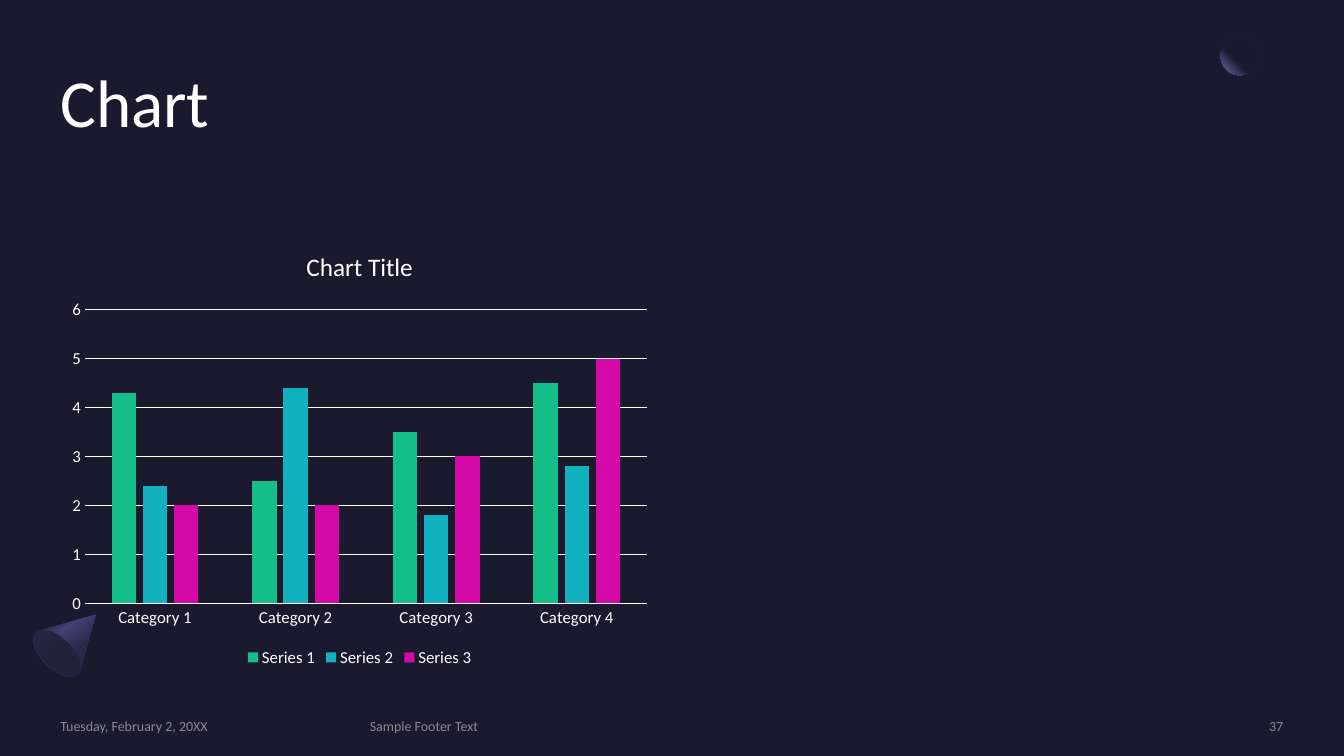
import math

import pptx
import pptx.chart.data
import pptx.dml.color
import pptx.enum.chart
import pptx.enum.shapes
import pptx.enum.text
import pptx.oxml
import pptx.oxml.ns
import pptx.util
from lxml import etree

Cm, Pt = pptx.util.Cm, pptx.util.Pt
RGBColor = pptx.dml.color.RGBColor
ALIGN = pptx.enum.text.PP_ALIGN
ANCHOR = pptx.enum.text.MSO_ANCHOR
SHAPE = pptx.enum.shapes.MSO_SHAPE
XL = pptx.enum.chart

FONT = "Calibri"
NIGHT = RGBColor(0x1B, 0x19, 0x2E)
WHITE = RGBColor(0xFF, 0xFF, 0xFF)
GREY = RGBColor(0xA6, 0xA6, 0xA6)
LILAC = RGBColor(0x77, 0x71, 0xB2)
VIOLET = RGBColor(0x45, 0x40, 0x75)
DUSK = RGBColor(0x2C, 0x28, 0x4A)
INK = RGBColor(0x23, 0x21, 0x3C)
GREEN = RGBColor(0x13, 0xBE, 0x89)
TEAL = RGBColor(0x12, 0xB1, 0xBF)
MAGENTA = RGBColor(0xD4, 0x0A, 0xA8)

TITLE = "Chart"
# text, left, width, alignment
FOOTER = [
    ("Tuesday, February 2, 20XX", 1.52, 7.32, ALIGN.LEFT),
    ("Sample Footer Text", 9.32, 17.73, ALIGN.LEFT),
    ("37", 27.64, 4.7, ALIGN.RIGHT),
]
CHART_TITLE = "Chart Title"
CATEGORIES = ["Category 1", "Category 2", "Category 3", "Category 4"]
SERIES = [
    ("Series 1", (4.3, 2.5, 3.5, 4.5), GREEN),
    ("Series 2", (2.4, 4.4, 1.8, 2.8), TEAL),
    ("Series 3", (2, 2, 3, 5), MAGENTA),
]

BALL_STOPS = [(60, NIGHT), (100, LILAC)]
CONE_STOPS = [(30, DUSK), (40, VIOLET), (60, DUSK), (100, NIGHT)]
BASE_STOPS = [(50, INK), (100, DUSK)]


def style_font(font, size, color=WHITE):
    font.name, font.size, font.bold = FONT, Pt(size), False
    font.color.rgb = color


def add_text(s, text, left, top, width, height, size=10, color=WHITE, alpha=None,
             align=ALIGN.LEFT, anchor=ANCHOR.TOP, after=0):
    tf = s.shapes.add_textbox(Cm(left), Cm(top), Cm(width), Cm(height)).text_frame
    tf.word_wrap = True
    tf.vertical_anchor = anchor
    tf.margin_left = tf.margin_top = tf.margin_right = tf.margin_bottom = 0
    p = tf.paragraphs[0]
    p.alignment, p.space_after = align, Pt(after)
    r = p.add_run()
    r.text = text
    style_font(r.font, size, color)
    if alpha:
        clr = r._r.find(".//" + pptx.oxml.ns.qn("a:srgbClr"))
        etree.SubElement(clr, pptx.oxml.ns.qn("a:alpha"), val=str(alpha * 1000))


def fill_gradient(sp, stops, angle=None):
    """Linear fill at an angle, or a circular one centred on the top right corner."""
    sp.shadow.inherit = False
    sp.line.fill.background()
    gs = "".join(f'<a:gs pos="{pos * 1000}"><a:srgbClr val="{color}"/></a:gs>'
                 for pos, color in stops)
    if angle is None:
        kind = '<a:path path="circle"><a:fillToRect l="100000" b="100000"/></a:path>'
    else:
        kind = f'<a:lin ang="{angle * 60000}" scaled="0"/>'
    grad = pptx.oxml.parse_xml(
        f'<a:gradFill {pptx.oxml.ns.nsdecls("a")} rotWithShape="1">'
        f'<a:gsLst>{gs}</a:gsLst>{kind}</a:gradFill>')
    geometry = sp._element.spPr.xpath("a:prstGeom|a:custGeom")[0]
    geometry.addnext(grad)


def add_ellipse(s, left, top, width, height, stops, angle=None, rotation=0):
    sp = s.shapes.add_shape(SHAPE.OVAL, Cm(left), Cm(top), Cm(width), Cm(height))
    sp.rotation = rotation
    fill_gradient(sp, stops, angle)


def add_cone(s, left, top, width, height, depth, rotation):
    """Upright cone with a half-ellipse base, then rotated."""
    middle, base = left + width / 2, top + height - depth
    arc = [math.radians(a) for a in range(-10, 191, 5)]
    points = [(Cm(middle + width / 2 * math.cos(a)), Cm(base + depth * math.sin(a)))
              for a in arc]
    fb = s.shapes.build_freeform(Cm(middle), Cm(top))
    fb.add_line_segments(points, close=True)
    sp = fb.convert_to_shape()
    sp.rotation = rotation
    fill_gradient(sp, CONE_STOPS, 10)


def add_column_chart(s, left, top, width, height):
    data = pptx.chart.data.CategoryChartData()
    data.categories = CATEGORIES
    for name, values, _ in SERIES:
        data.add_series(name, values)
    chart = s.shapes.add_chart(XL.XL_CHART_TYPE.COLUMN_CLUSTERED, Cm(left), Cm(top),
                               Cm(width), Cm(height), data).chart
    style_font(chart.font, 10)

    chart.has_title = True
    tf = chart.chart_title.text_frame
    tf.text = CHART_TITLE
    style_font(tf.paragraphs[0].runs[0].font, 18)
    chart.chart_title.include_in_layout = False

    chart.has_legend = True
    chart.legend.position = XL.XL_LEGEND_POSITION.BOTTOM
    chart.legend.include_in_layout = False
    style_font(chart.legend.font, 12)

    plot = chart.plots[0]
    plot.gap_width, plot.overlap, plot.vary_by_categories = 219, -27, False
    for series, (_, _, color) in zip(plot.series, SERIES):
        series.format.fill.solid()
        series.format.fill.fore_color.rgb = color
        series.invert_if_negative = False

    cat, val = chart.category_axis, chart.value_axis
    for axis in (cat, val):
        axis.major_tick_mark = axis.minor_tick_mark = XL.XL_TICK_MARK.NONE
        style_font(axis.tick_labels.font, 12)
    val.minimum_scale, val.maximum_scale, val.major_unit = 0, 6, 1
    val.format.line.fill.background()
    val.has_major_gridlines = True
    for line in (cat.format.line, val.major_gridlines.format.line):
        line.color.rgb = WHITE
        line.width = Pt(0.75)


def main():
    prs = pptx.Presentation()
    prs.slide_width, prs.slide_height = Cm(33.87), Cm(19.05)
    s = prs.slides.add_slide(prs.slide_layouts[6])
    s.background.fill.solid()
    s.background.fill.fore_color.rgb = NIGHT

    add_ellipse(s, 30.76, 0.91, 0.99, 0.99, BALL_STOPS)
    add_cone(s, 1.04, 15.24, 1.5, 1.75, 0.38, rotation=45)
    add_ellipse(s, 1.07, 15.72, 0.76, 1.5, BASE_STOPS, angle=90, rotation=135)

    add_text(s, TITLE, 1.52, 1.52, 30.81, 3.71, size=48)
    for text, left, width, align in FOOTER:
        add_text(s, text, left, 18.08, width, 0.43, color=GREY, alpha=80,
                 align=align, anchor=ANCHOR.MIDDLE, after=6)
    add_column_chart(s, 1.52, 5.82, 15.09, 11.1)
    prs.save("out.pptx")


if __name__ == "__main__":
    main()
